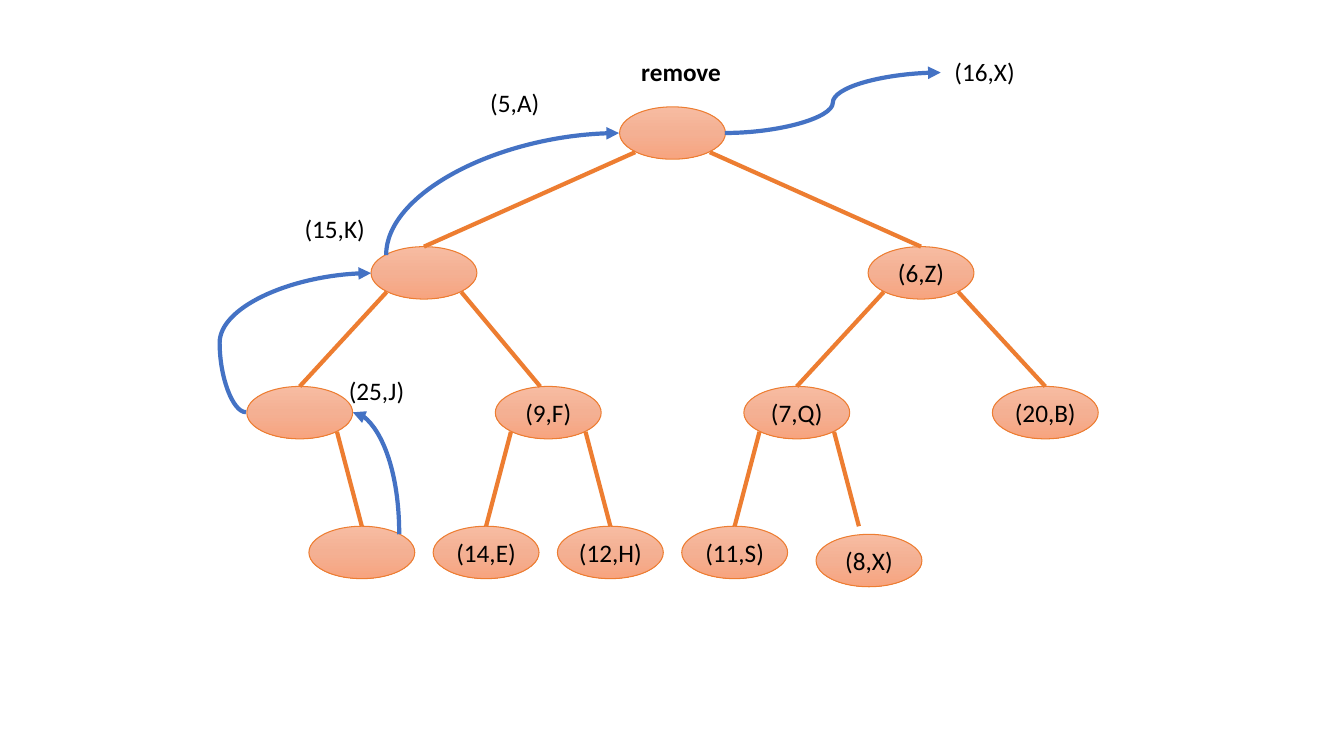
from copy import deepcopy
from dataclasses import dataclass

from lxml.etree import SubElement
from pptx import Presentation
from pptx.dml.color import RGBColor
from pptx.enum.shapes import MSO_CONNECTOR as Connector, MSO_SHAPE as Shape
from pptx.enum.text import MSO_ANCHOR as Anchor, PP_ALIGN as Align
from pptx.oxml.ns import qn
from pptx.util import Inches, Pt


@dataclass(frozen=True)
class Theme:
    font: str = "Calibri"
    size: int = 18
    text: str = "000000"
    orange: str = "ED7D31"
    blue: str = "4472C4"
    node_gradient: tuple = ((0, "F7BCA2"), (0.5, "F4B093"), (1, "F7A47F"))
    outline: float = 0.75
    stroke: float = 3


THEME = Theme()

# Tree geometry in inches
CENTER_X, TOP, LEVEL_GAP, SPREAD = 6.67, 1.06, 1.387, 9.86
NODE_W, NODE_H = 1.05, 0.52
CHILD_DX, CHILD_DY = 0.37, 0.45

# Keys by level and slot; an empty key marks a node on the removal route
LEVELS = [
    {0: ""},
    {0: "", 1: "(6,Z)"},
    {0: "", 1: "(9,F)", 2: "(7,Q)", 3: "(20,B)"},
    {1: "", 2: "(14,E)", 3: "(12,H)", 4: "(11,S)", 5: "(8,X)"},
]
NODE_SHIFT = {(3, 5): (0.1, 0.08)}
EDGE_SHIFT = {(2, 1): -0.08}

# Moved keys: text, left, top, width
LABELS = [
    ("(16,X)", 9.24, 0.46, 1.05),
    ("(5,A)", 4.58, 0.77, 1.05),
    ("(15,K)", 2.89, 2.02, 0.86),
    ("(25,J)", 3.15, 3.62, 1.17),
]

# Moves: begin, end, preset curve, bend, arrowhead end
MOVES = [
    ((7.19, 1.32), (9.33, 0.72), "curvedConnector3", 0.5, "tailEnd"),
    ((6.14, 1.32), (3.83, 2.53), "curvedConnector2", None, "headEnd"),
    ((2.44, 4.09), (3.68, 2.71), "curvedConnector3", -0.211, "tailEnd"),
    ((3.5, 4.09), (3.96, 5.3), "curvedConnector2", None, "headEnd"),
]


def color(value):
    return RGBColor.from_string(value)


def write_text(shape, text, bold=False, margins=(0, 0), anchor=Anchor.MIDDLE):
    frame = shape.text_frame
    frame.word_wrap = True
    frame.vertical_anchor = anchor
    frame.margin_left = frame.margin_right = Inches(margins[0])
    frame.margin_top = frame.margin_bottom = Inches(margins[1])
    paragraph = frame.paragraphs[0]
    paragraph.alignment = Align.CENTER
    run = paragraph.add_run()
    run.text = text
    run.font.name, run.font.size = THEME.font, Pt(THEME.size)
    run.font.bold = bold
    run.font.color.rgb = color(THEME.text)


def node_position(level, slot):
    """Return the centre x and top y of a slot in the full tree."""
    count = 2 ** level
    x = CENTER_X + (slot - (count - 1) / 2) * SPREAD / count
    return x, TOP + level * LEVEL_GAP


def fill_gradient(shape):
    shape.fill.gradient()
    shape.fill.gradient_angle = 270
    stop_list = shape.element.spPr.find(qn("a:gradFill")).find(qn("a:gsLst"))
    stop_list.append(deepcopy(stop_list[-1]))
    for stop, (position, value) in zip(shape.fill.gradient_stops, THEME.node_gradient):
        stop.position = position
        stop.color.rgb = color(value)


def add_node(slide, level, slot, key):
    x, y = node_position(level, slot)
    dx, dy = NODE_SHIFT.get((level, slot), (0, 0))
    shape = slide.shapes.add_shape(
        Shape.OVAL, Inches(x + dx - NODE_W / 2), Inches(y + dy),
        Inches(NODE_W), Inches(NODE_H))
    shape.shadow.inherit = False
    fill_gradient(shape)
    shape.line.color.rgb = color(THEME.orange)
    shape.line.width = Pt(THEME.outline)
    if key:
        write_text(shape, key)


def add_line(slide, begin, end, line_color, kind=Connector.STRAIGHT):
    line = slide.shapes.add_connector(kind, *map(Inches, (*begin, *end)))
    line.line.color.rgb = color(line_color)
    line.line.width = Pt(THEME.stroke)
    SubElement(line.element.spPr, qn("a:effectLst"))
    return line


def add_edge(slide, level, slot):
    parent_x, parent_y = node_position(level - 1, slot // 2)
    child_x, child_y = node_position(level, slot)
    side = CHILD_DX if slot % 2 else -CHILD_DX
    add_line(slide, (parent_x + side, parent_y + CHILD_DY),
             (child_x + EDGE_SHIFT.get((level, slot), 0), child_y), THEME.orange)


def add_move(slide, begin, end, preset, bend, arrow_end):
    curve = add_line(slide, begin, end, THEME.blue, Connector.CURVE)
    geometry = curve.element.spPr.find(qn("a:prstGeom"))
    geometry.set("prst", preset)
    if bend is not None:
        guide = SubElement(geometry.find(qn("a:avLst")), qn("a:gd"))
        guide.set("name", "adj1")
        guide.set("fmla", f"val {round(bend * 100000)}")
    outline = curve.element.spPr.find(qn("a:ln"))
    SubElement(outline, qn(f"a:{arrow_end}")).set("type", "triangle")


def add_label(slide, text, left, top, width):
    box = slide.shapes.add_textbox(*map(Inches, (left, top, width, 0.5)))
    write_text(box, text, margins=(0.1, 0.1), anchor=Anchor.TOP)


def set_title(slide, text):
    title = slide.shapes.title
    title.left, title.top = Inches(6.05), Inches(0.51)
    title.width, title.height = Inches(1.41), Inches(0.4)
    write_text(title, text, bold=True, margins=(0.1, 0.05), anchor=Anchor.TOP)


def main():
    presentation = Presentation()
    presentation.slide_width = Inches(13.33)
    presentation.slide_height = Inches(7.5)
    slide = presentation.slides.add_slide(presentation.slide_layouts[5])
    set_title(slide, "remove")

    # Nodes and the edges to their parents
    for level, keys in enumerate(LEVELS):
        for slot, key in keys.items():
            add_node(slide, level, slot, key)
            if level:
                add_edge(slide, level, slot)

    # Keys moving up after the removal
    for move in MOVES:
        add_move(slide, *move)
    for label in LABELS:
        add_label(slide, *label)

    presentation.save("out.pptx")


if __name__ == "__main__":
    main()
